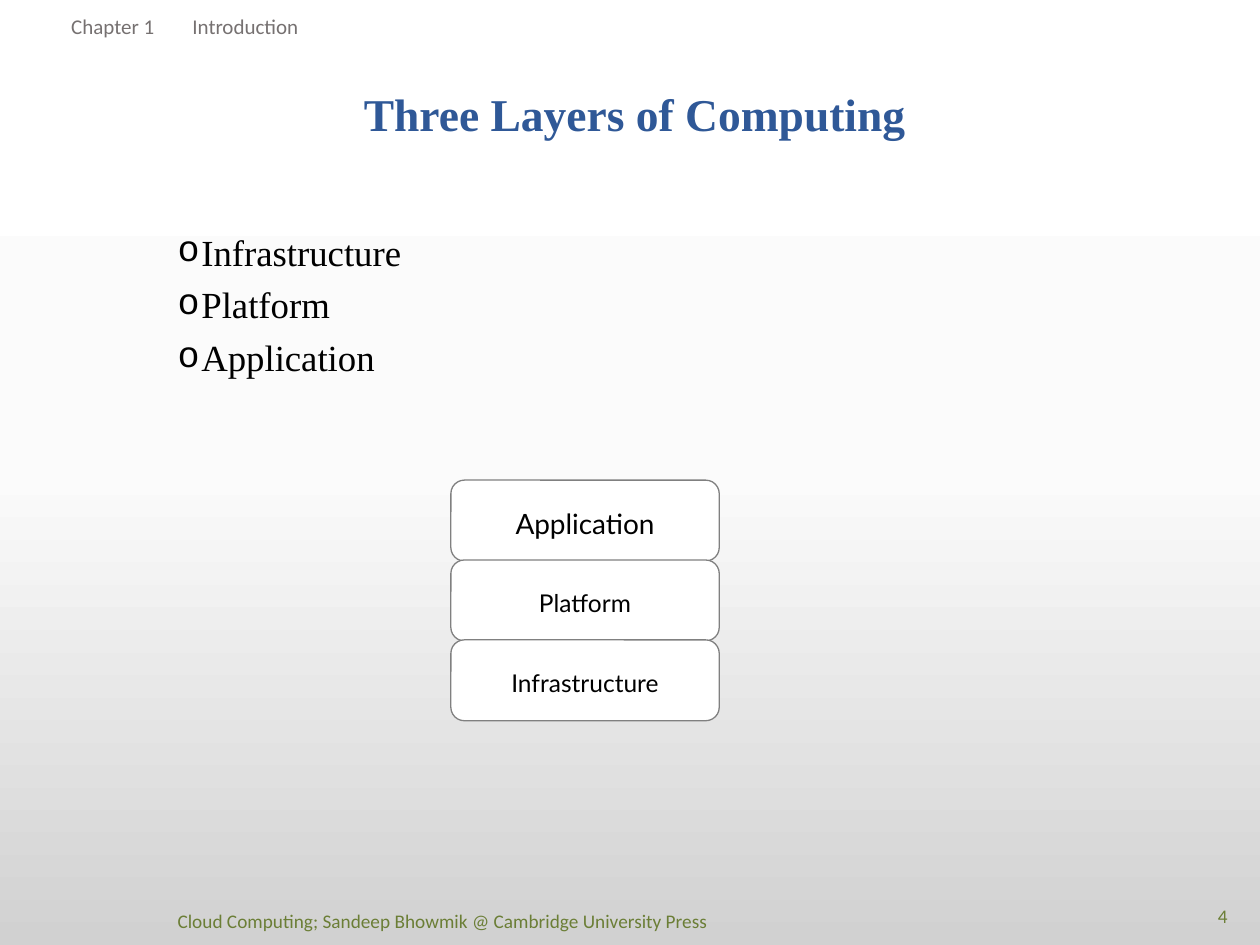
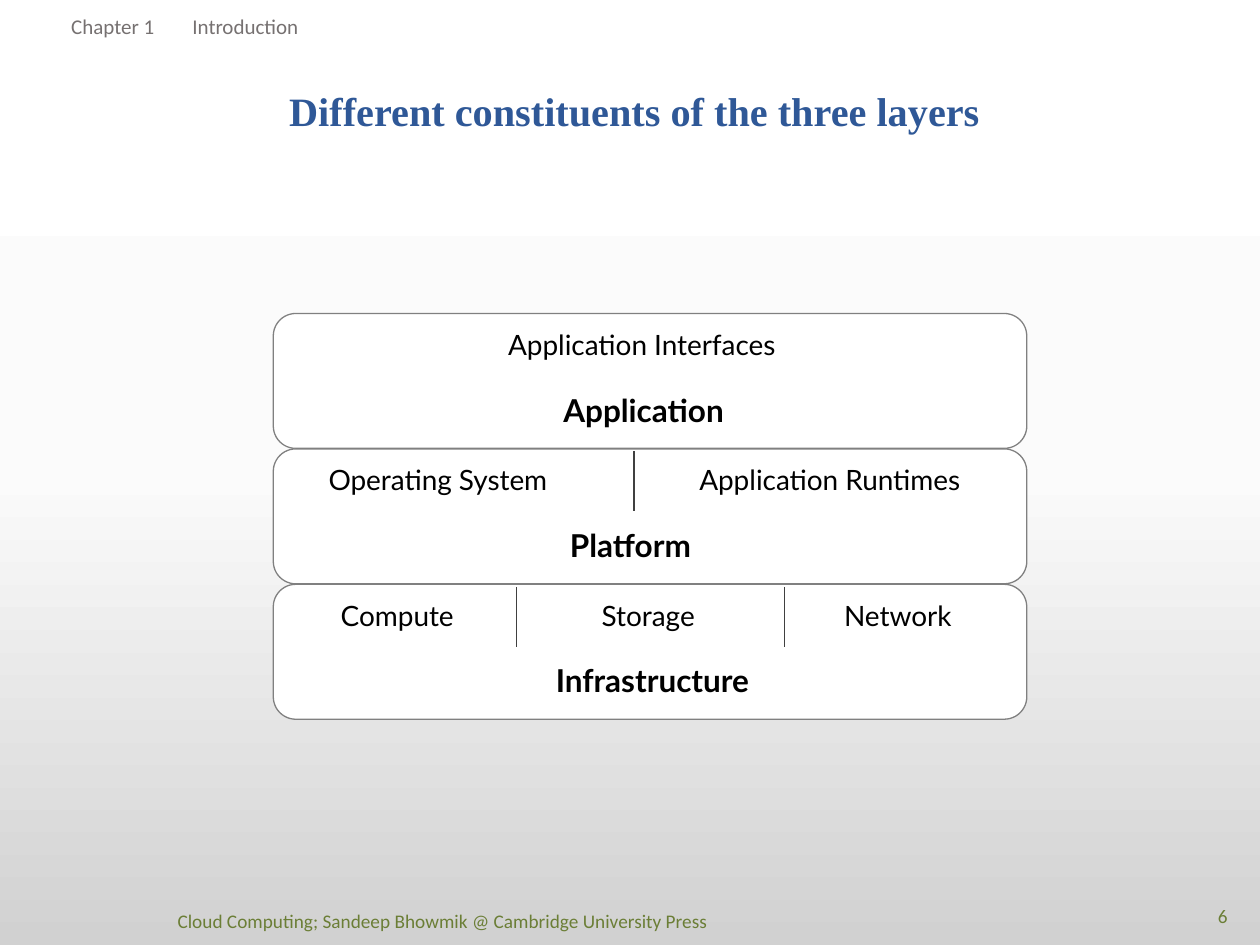
from copy import deepcopy

from lxml import etree
from pptx import Presentation
from pptx.dml.color import RGBColor
from pptx.enum.shapes import MSO_CONNECTOR, MSO_SHAPE
from pptx.enum.text import MSO_ANCHOR, PP_ALIGN
from pptx.oxml.ns import qn
from pptx.util import Cm, Pt

LEFT, MID = PP_ALIGN.LEFT, PP_ALIGN.CENTER
TOP, HALF = MSO_ANCHOR.TOP, MSO_ANCHOR.MIDDLE
ROUND, LINE = MSO_SHAPE.ROUNDED_RECTANGLE, MSO_CONNECTOR.STRAIGHT

HUES = {
    "title": "2F5897", "text": "000000", "head": "767171", "foot": "6B7E36",
    "fill": "FFFFFF", "edge": "808080", "rule": "404040",
}
SHADE = [(0, "FFFFFF"), (0.5, "FBFBFB"), (1, "D1D1D1")]

# Text styles: font values, then paragraph values
STYLES = {
    "title": ({"name": "Times New Roman", "bold": True},
              {"alignment": MID, "line_spacing": 0.9}),
    "list": ({"name": "Times New Roman", "size": Pt(21)},
             {"alignment": LEFT, "line_spacing": 0.9}),
    "head": ({"name": "Calibri", "size": Pt(12)}, {"alignment": LEFT}),
    "foot": ({"name": "Calibri", "size": Pt(11)}, {"alignment": LEFT}),
    "page": ({"name": "Calibri", "size": Pt(11)}, {"alignment": MID}),
    "part": ({"name": "Lato", "size": Pt(16)},
             {"alignment": MID, "line_spacing": 1.15}),
    "small": ({"name": "Lato", "size": Pt(14)},
              {"alignment": MID, "line_spacing": 1.15}),
    "name": ({"name": "Lato", "size": Pt(18), "bold": True},
             {"alignment": MID, "line_spacing": 1.15}),
}
INK = {"title": "title", "head": "head", "foot": "foot", "page": "foot"}

HEAD = " Chapter 1\tIntroduction"
FOOT = "Cloud Computing; Sandeep Bhowmik @ Cambridge University Press"

BASICS = {
    "title": "Three Layers of Computing", "size": 26, "page": "4",
    "list": ["Infrastructure", "Platform", "Application"],
    "stack": [("Application", "part"), ("Platform", "small"),
              ("Infrastructure", "small")],
    "box": (9.09, 9.68, 5.41, 1.63), "step": 1.61,
}
DETAIL = {
    "title": "Different constituents of the three layers", "size": 23, "page": "6",
    # Each layer: name and its width, parts (text, left, width), divider places
    "stack": [
        ("Application", 4.67, [("Application Interfaces", 8.28, 9.32)], []),
        ("Platform", 4.14, [("Operating System", 5.92, 5.82),
                            ("Application Runtimes", 13.21, 7.04)], [12.78]),
        ("Infrastructure", 5.03, [("Compute", 6.22, 3.58), ("Storage", 11.28, 3.58),
                                  ("Network", 16.31, 3.58)], [10.41, 15.82]),
    ],
    "box": (5.51, 6.32, 15.19, 2.72), "step": 2.73,
}
NAME_X, NAME_DY, PART_DY = 10.64, 1.44, 0.18
RULE_DY, RULE_H = 0.05, 1.21


def color(key):
    return RGBColor.from_string(HUES[key])


def assign(item, values):
    for key, value in values.items():
        setattr(item, key, value)


def write(para, text, style):
    font, form = STYLES[style]
    run = para.add_run()
    run.text = text
    assign(para, form)
    assign(run.font, font)
    run.font.color.rgb = color(INK.get(style, "text"))
    return run


def label(slide, text, style, box, pad=True, anchor=TOP):
    frame = slide.shapes.add_textbox(*map(Cm, box)).text_frame
    assign(frame, {"word_wrap": True, "vertical_anchor": anchor})
    if not pad:
        assign(frame, {f"margin_{side}": 0
                       for side in ("left", "top", "right", "bottom")})
    write(frame.paragraphs[0], text, style)
    return frame


def shade(master):
    fill = master.background.fill
    fill.gradient()
    fill.gradient_angle = 270
    first = fill.gradient_stops
    node = master.background.fill._fill._gradFill.find(qn("a:gsLst"))
    if len(first) < len(SHADE):
        node.append(deepcopy(node[0]))
    for stop, (place, hue) in zip(fill.gradient_stops, SHADE):
        stop.position = place
        stop.color.rgb = RGBColor.from_string(hue)


def start(deck, data):
    """Add a slide with its title, header, footer and page number."""
    slide = deck.slides.add_slide(deck.slide_layouts[5])
    title = slide.shapes.title
    assign(title, dict(zip(("left", "top", "width", "height"),
                           map(Cm, (3.4, 1.73, 18.8, 2.21)))))
    title.text_frame.vertical_anchor = TOP
    run = write(title.text_frame.paragraphs[0], data["title"], "title")
    run.font.size = Pt(data["size"])
    label(slide, data["page"], "page", (23.9, 18.08, 1.5, 0.76), anchor=HALF)
    label(slide, HEAD, "head", (1.09, 0.15, 20.17, 0.76))
    label(slide, FOOT, "foot", (3.33, 18.21, 20.17, 0.74))
    return slide


def bullet(para):
    props = para._p.get_or_add_pPr()
    props.set("marL", str(Cm(0.48)))
    props.set("indent", str(-Cm(0.48)))
    etree.SubElement(props, qn("a:buFont"), typeface="Courier New")
    etree.SubElement(props, qn("a:buChar"), char="o")


def outline(slide, items):
    frame = label(slide, items[0], "list", (3.33, 4.6, 20.17, 11.13))
    bullet(frame.paragraphs[0])
    for text in items[1:]:
        para = frame.add_paragraph()
        bullet(para)
        write(para, text, "list")
        para.space_before = Pt(7.5)


def layers(slide, data):
    """Stack one rounded box per layer and yield each box with its layer."""
    left, top, wide, high = data["box"]
    for i, layer in enumerate(data["stack"]):
        y = top + i * data["step"]
        box = slide.shapes.add_shape(ROUND, *map(Cm, (left, y, wide, high)))
        box.shadow.inherit = False
        box.fill.solid()
        box.fill.fore_color.rgb = color("fill")
        box.line.color.rgb = color("edge")
        box.line.width = Pt(0.75)
        yield box, y, layer


def divide(slide, x, y):
    rule = slide.shapes.add_connector(LINE, *map(Cm, (x, y, x, y + RULE_H)))
    rule.line.color.rgb = color("rule")
    rule.line.width = Pt(0.75)
    etree.SubElement(rule._element.spPr, qn("a:effectLst"))


def basics(deck):
    slide = start(deck, BASICS)
    outline(slide, BASICS["list"])
    for box, _, (text, style) in layers(slide, BASICS):
        box.text_frame.vertical_anchor = HALF
        write(box.text_frame.paragraphs[0], text, style)


def detail(deck):
    slide = start(deck, DETAIL)
    for _, y, (name, wide, parts, rules) in layers(slide, DETAIL):
        label(slide, name, "name", (NAME_X, y + NAME_DY, wide, 1.15), pad=False)
        for text, x, span in parts:
            label(slide, text, "part", (x, y + PART_DY, span, 1.2), pad=False)
        for x in rules:
            divide(slide, x, y + RULE_DY)


def main():
    deck = Presentation()
    assign(deck, {"slide_width": Cm(25.4), "slide_height": Cm(19.05)})
    shade(deck.slide_master)
    basics(deck)
    detail(deck)
    deck.save("out.pptx")


if __name__ == "__main__":
    main()
